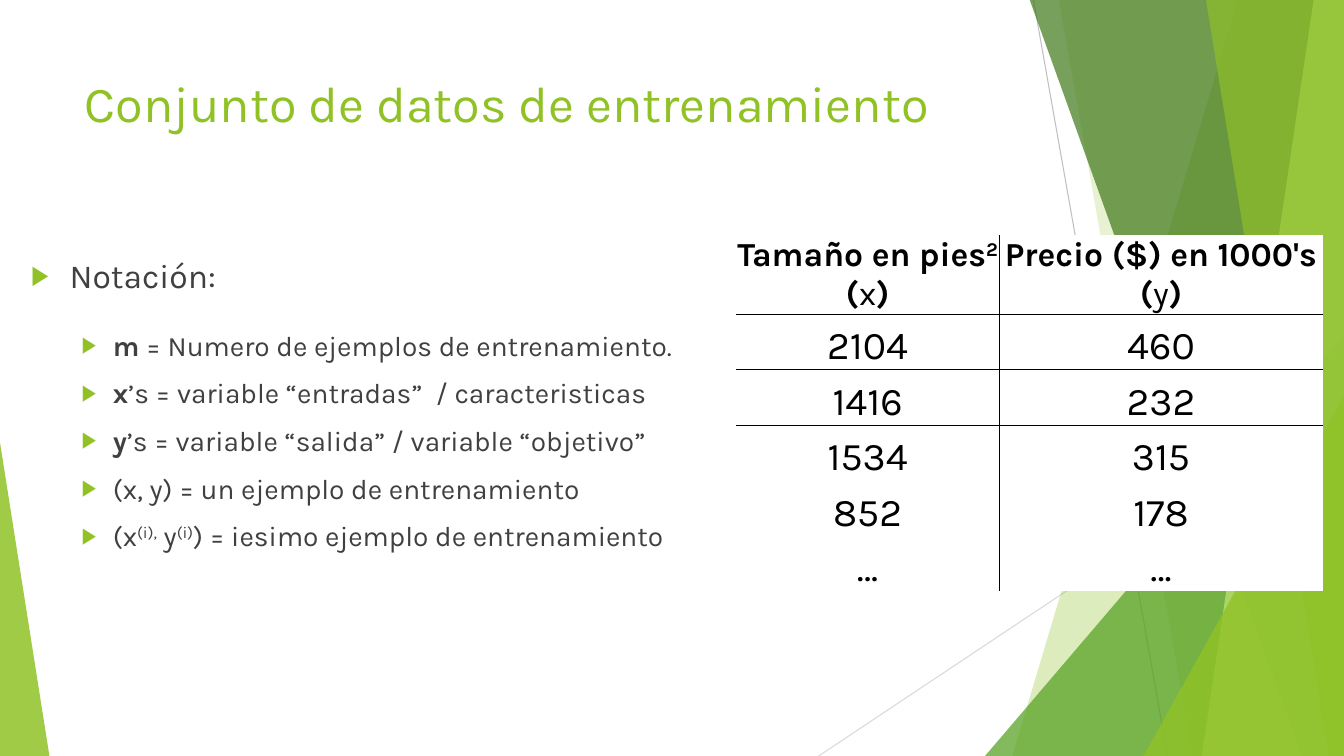
from lxml import etree
from pptx import Presentation
from pptx.dml.color import RGBColor
from pptx.enum import shapes, text
from pptx.oxml import ns
from pptx.util import Inches, Pt

FONT = "Karla"
WHITE = RGBColor(0xFF, 0xFF, 0xFF)
BLACK = RGBColor(0, 0, 0)
GRAY = RGBColor(0x40, 0x40, 0x40)
LINE_DARK = RGBColor(0xBF, 0xBF, 0xBF)
LINE_LIGHT = RGBColor(0xD9, 0xD9, 0xD9)
LIME = RGBColor(0x90, 0xC2, 0x26)
GREEN = RGBColor(0x54, 0xA0, 0x21)
FOREST = RGBColor(0x3F, 0x78, 0x19)
PALE = RGBColor(0xC0, 0xE4, 0x74)

# Content: text is a list of (words, style) runs
TITLE = "Conjunto de datos de entrenamiento"
HEADING = [("Notación:", "")]
NOTATION = [
    [("m", "bold"), (" = Numero de ejemplos de entrenamiento.", "")],
    [("x", "bold"), ("’s = variable “entradas”  / caracteristicas", "")],
    [("y", "bold"), ("’s = variable “salida” / variable “objetivo”", "")],
    [("(x, y) = un ejemplo de entrenamiento", "")],
    [("(x", ""), ("(i),", "super"), (" y", ""), ("(i)", "super"),
     (") = iesimo ejemplo de entrenamiento", "")],
]
TABLE_HEADER = [
    [("Tamaño en pies", "bold"), ("2", "bold super"), (" (", "bold"), ("x", ""), (")", "bold")],
    [("Precio ($) en 1000's (", "bold"), ("y", ""), (")", "bold")],
]
TABLE_DATA = [("2104", "460"), ("1416", "232"), ("1534", "315"), ("852", "178"), ("…", "…")]
COLUMN_WIDTHS = (2.61, 3.21)
HEADER_HEIGHT, ROW_HEIGHT = 0.78, 0.55

# Decoration, from back to front
RAYS = [((10.25, 0), (11.58, 7.5), LINE_DARK), ((13.33, 4.03), (8.12, 7.5), LINE_LIGHT)]
# Bands reach the right edge: (top left x, bottom left x, colour, opacity %)
# Triangles: (left, top, width, height, apex, colour, opacity %)
FACETS = [
    (12.28, 10.04, LIME, 30),
    (10.5, 11.83, LIME, 20),
    (9.77, 3.33, 3.56, 4.17, 1, GREEN, 72),
    (10.21, 12.91, FOREST, 70),
    (13.03, 11.92, PALE, 70),
    (11.96, 13.18, LIME, 65),
    (11.34, 3.93, 1.99, 3.57, 1, LIME, 80),
    (0, 4.39, 0.49, 3.11, 0, LIME, 85),
]
RIGHT, TOP, BOTTOM = 13.33, -0.01, 7.5


def add_element(parent, tag, **attributes):
    element = etree.SubElement(parent, ns.qn(tag))
    for name, value in attributes.items():
        element.set(name, str(value))
    return element


def place(shape, left, top, width, height):
    shape.left, shape.top = Inches(left), Inches(top)
    shape.width, shape.height = Inches(width), Inches(height)


def write_runs(paragraph, runs, size, color):
    for words, style in runs:
        run = paragraph.add_run()
        run.text = words
        run.font.name, run.font.size = FONT, Pt(size)
        run.font.bold = "bold" in style
        run.font.color.rgb = color
        if "super" in style:
            run.font._element.set("baseline", "30000")


def add_ray(slide, start, end, color):
    ray = slide.shapes.add_connector(
        shapes.MSO_CONNECTOR.STRAIGHT, *(Inches(value) for value in start + end))
    ray.line.color.rgb, ray.line.width = color, Pt(0.75)
    add_element(ray._element.spPr, "a:effectLst")


def add_facet(slide, *geometry, color, opacity):
    if len(geometry) == 2:
        top_left, bottom_left = geometry
        corners = [(top_left, TOP), (RIGHT, TOP), (RIGHT, BOTTOM), (bottom_left, BOTTOM)]
        points = [(Inches(x), Inches(y)) for x, y in corners]
        builder = slide.shapes.build_freeform(*points[0])
        builder.add_line_segments(points[1:], close=True)
        facet = builder.convert_to_shape()
    else:
        *box, apex = geometry
        facet = slide.shapes.add_shape(
            shapes.MSO_SHAPE.ISOSCELES_TRIANGLE, *(Inches(value) for value in box))
        facet.adjustments[0] = apex
    facet.shadow.inherit = False
    facet.line.fill.background()
    facet.fill.solid()
    facet.fill.fore_color.rgb = color
    color_element = facet._element.spPr.find(".//" + ns.qn("a:srgbClr"))
    add_element(color_element, "a:alpha", val=opacity * 1000)


def add_notation(frame, paragraph, runs, level, size, before):
    paragraph.level = level
    paragraph.space_before = Pt(before)
    paragraph.alignment = text.PP_ALIGN.LEFT
    margin, hanging = ((0.38, 0.38), (0.81, 0.31))[level]
    properties = paragraph._p.get_or_add_pPr()
    properties.set("marL", str(Inches(margin)))
    properties.set("indent", str(-Inches(hanging)))
    add_element(add_element(properties, "a:buClr"), "a:srgbClr", val=LIME)
    add_element(properties, "a:buSzPct", val=80000)
    add_element(properties, "a:buFont", typeface="Arial")
    add_element(properties, "a:buChar", char="▶")
    write_runs(paragraph, runs, size, GRAY)


def fill_cell(cell, runs, size, anchor, borders):
    cell.margin_left = cell.margin_right = cell.margin_top = Inches(0.01)
    cell.margin_bottom = 0
    cell.vertical_anchor = anchor
    paragraph = cell.text_frame.paragraphs[0]
    paragraph.alignment = text.PP_ALIGN.CENTER
    write_runs(paragraph, runs, size, BLACK)
    for side in borders:
        border = add_element(cell._tc.get_or_add_tcPr(), "a:ln" + side, w=Pt(1))
        add_element(add_element(border, "a:solidFill"), "a:srgbClr", val=BLACK)
    cell.fill.solid()
    cell.fill.fore_color.rgb = WHITE


def add_price_table(slide):
    rows = [TABLE_HEADER] + [[[(value, "")] for value in row] for row in TABLE_DATA]
    height = HEADER_HEIGHT + ROW_HEIGHT * len(TABLE_DATA)
    table = slide.shapes.add_table(
        len(rows), len(COLUMN_WIDTHS), Inches(7.3), Inches(2.33),
        Inches(sum(COLUMN_WIDTHS)), Inches(height)).table
    table.first_row = table.horz_banding = False
    style = table._tbl.tblPr.find(ns.qn("a:tableStyleId"))
    style.text = "{2D5ABB26-0587-4C30-8999-92F81FD0307C}"
    for column, width in zip(table.columns, COLUMN_WIDTHS):
        column.width = Inches(width)
    for r, row in enumerate(rows):
        header = r == 0
        table.rows[r].height = Inches(HEADER_HEIGHT if header else ROW_HEIGHT)
        anchor = text.MSO_ANCHOR.MIDDLE if header else text.MSO_ANCHOR.BOTTOM
        # Rules run down the middle and under the first two rows
        for c, runs in enumerate(row):
            borders = "RL"[c] + ("T" if r in (1, 2) else "") + ("B" if r < 2 else "")
            fill_cell(table.cell(r, c), runs, 24 if header else 28, anchor, borders)


def main():
    presentation = Presentation()
    presentation.slide_width, presentation.slide_height = Inches(13.33), Inches(7.5)
    slide = presentation.slides.add_slide(presentation.slide_layouts[1])

    # Background decoration
    for ray in RAYS:
        add_ray(slide, *ray)
    for *geometry, color, opacity in FACETS:
        add_facet(slide, *geometry, color=color, opacity=opacity)

    add_price_table(slide)

    # Title and notation list
    title, body = slide.placeholders
    place(title, 0.74, 0.67, 9.4, 1.44)
    place(body, 0.21, 2.48, 6.61, 4.24)
    for placeholder in (title, body):
        placeholder.text_frame.word_wrap = True
        placeholder.text_frame.auto_size = text.MSO_AUTO_SIZE.NONE
        placeholder.text_frame.vertical_anchor = text.MSO_ANCHOR.TOP
    paragraph = title.text_frame.paragraphs[0]
    paragraph.alignment = text.PP_ALIGN.LEFT
    write_runs(paragraph, [(TITLE, "")], 36, LIME)

    frame = body.text_frame
    add_notation(frame, frame.paragraphs[0], HEADING, 0, 24, 0)
    for i, runs in enumerate(NOTATION):
        add_notation(frame, frame.add_paragraph(), runs, 1, 20, 10 if i else 23.5)

    presentation.save("out.pptx")


if __name__ == "__main__":
    main()
